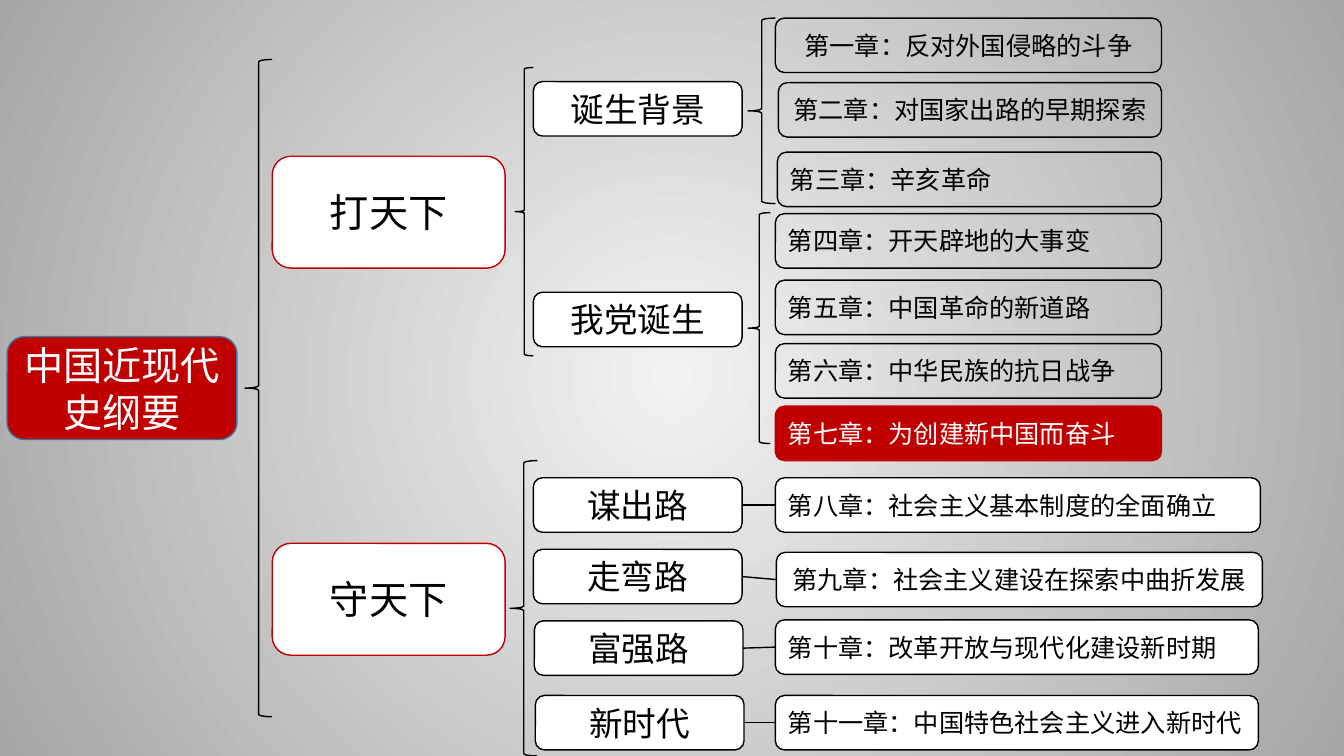
from lxml.etree import SubElement
from pptx import Presentation
from pptx.dml.color import RGBColor
from pptx.enum.shapes import MSO_CONNECTOR as Connector, MSO_SHAPE as Shape
from pptx.enum.text import MSO_ANCHOR as Anchor, PP_ALIGN as Align
from pptx.oxml.ns import qn
from pptx.util import Inches, Pt

FONT = "Noto Sans CJK SC"
COLORS = {"red": "C00000", "white": "FFFFFF", "black": "000000",
          "blue": "43739E", "center": "F2F2F2", "edge": "A6A6A6"}
ROW = 0.54
STAGE_WIDTH = 2.07


def color(name):
    """Return the named colour."""
    return RGBColor.from_string(COLORS[name])


def paint_background(page):
    """Fill the page with a circular gradient."""
    fill = page.background.fill
    fill.gradient()
    for stop, name in zip(fill.gradient_stops, ("center", "edge")):
        stop.color.rgb = color(name)
    gradient = page.background._cSld.find(".//" + qn("a:gradFill"))
    gradient.remove(gradient.find(qn("a:lin")))
    circle = SubElement(gradient, qn("a:path"), {"path": "circle"})
    SubElement(circle, qn("a:fillToRect"), {side: "50000" for side in "ltrb"})


def add_outline(page, kind, box, fill, line):
    """Add a preset shape with the given fill and a thin line."""
    shape = page.shapes.add_shape(kind, *map(Inches, box))
    shape.shadow.inherit = False
    if fill:
        shape.fill.solid()
        shape.fill.fore_color.rgb = color(fill)
    else:
        shape.fill.background()
    shape.line.color.rgb = color(line)
    shape.line.width = Pt(1)
    return shape


def add_node(page, box, text, size, fill="white", line="black", ink="black", align=Align.CENTER):
    """Add a rounded box holding one line of thought."""
    node = add_outline(page, Shape.ROUNDED_RECTANGLE, box, fill, line)
    frame = node.text_frame
    frame.word_wrap = True
    frame.vertical_anchor = Anchor.MIDDLE
    para = frame.paragraphs[0]
    para.alignment = align
    span = para.add_run()
    span.text = text
    span.font.size = Pt(size)
    span.font.name = FONT
    span.font.color.rgb = color(ink)
    SubElement(span.font._element, qn("a:ea"), {"typeface": FONT})
    return node


def add_brace(page, box):
    """Add a left brace."""
    add_outline(page, Shape.LEFT_BRACE, box, None, "black")


def join(page, chapter, stage):
    """Link a chapter's left side to a stage's right side."""
    link = page.shapes.add_connector(Connector.STRAIGHT, 0, 0, 0, 0)
    link.begin_connect(chapter, 1)
    link.end_connect(stage, 3)
    link.line.color.rgb = color("black")
    link.line.width = Pt(1)
    SubElement(link._element.spPr, qn("a:effectLst"))


def draw_root(page, left, top):
    """Draw the course box, its brace and the two eras."""
    add_node(page, (left, top, 2.28, 1.02), "中国近现代史纲要", 28, "red", "blue", "white")
    add_brace(page, (left + 2.36, top - 2.75, 0.27, 6.52))
    for text, offset in (("打天下", -1.79), ("守天下", 2.05)):
        add_node(page, (left + 2.63, top + offset, 2.31, 1.11), text, 28, line="red")


def draw_founding(page, left, top):
    """Draw the first era: two stages bracing seven chapters."""
    add_brace(page, (left, top + 0.49, 0.18, 2.86))
    for text, offset in (("诞生背景", 0.63), ("我党诞生", 2.72)):
        add_node(page, (left + 0.18, top + offset, STAGE_WIDTH, ROW), text, 24)
    add_brace(page, (left + 2.31, top, 0.27, 1.84))
    add_brace(page, (left + 2.31, top + 1.93, 0.22, 2.29))
    chapters = (
        ("第一章：反对外国侵略的斗争", 2.58, 0, Align.CENTER),
        ("第二章：对国家出路的早期探索", 2.61, 0.64, Align.CENTER),
        ("第三章：辛亥革命", 2.6, 1.33, Align.LEFT),
        ("第四章：开天辟地的大事变", 2.58, 1.94, Align.LEFT),
        ("第五章：中国革命的新道路", 2.58, 2.6, Align.LEFT),
        ("第六章：中华民族的抗日战争", 2.58, 3.23, Align.LEFT),
    )
    right = left + 6.41
    for text, indent, offset, align in chapters:
        box = (left + indent, top + offset, right - left - indent, ROW)
        add_node(page, box, text, 18, None, align=align)
    box = (left + 2.58, top + 3.85, 3.83, ROW)
    add_node(page, box, "第七章：为创建新中国而奋斗", 18, "red", "red", "white", Align.LEFT)


def draw_governing(page, left, top):
    """Draw the second era: four stages, each linked to a chapter."""
    add_brace(page, (left, top, 0.27, 2.93))
    rows = (
        ("谋出路", 0.23, 0.17, "第八章：社会主义基本制度的全面确立", 2.63, 0.17, 4.81, Align.LEFT),
        ("走弯路", 0.23, 0.88, "第九章：社会主义建设在探索中曲折发展", 2.64, 0.91, 4.82, Align.CENTER),
        ("富强路", 0.24, 1.59, "第十章：改革开放与现代化建设新时期", 2.63, 1.58, 4.79, Align.LEFT),
        ("新时代", 0.25, 2.33, "第十一章：中国特色社会主义进入新时代", 2.63, 2.33, 4.79, Align.LEFT),
    )
    for name, x, y, title, chapter_x, chapter_y, width, align in rows:
        stage = add_node(page, (left + x, top + y, STAGE_WIDTH, ROW), name, 24)
        box = (left + chapter_x, top + chapter_y, width, ROW)
        chapter = add_node(page, box, title, 18, align=align)
        join(page, chapter, stage)


def main():
    """Build the course outline and save it."""
    deck = Presentation()
    deck.slide_width, deck.slide_height = Inches(13.33), Inches(7.5)
    page = deck.slides.add_slide(deck.slide_layouts[6])
    paint_background(page)
    draw_root(page, 0.07, 3.34)
    draw_founding(page, 5.11, 0.18)
    draw_governing(page, 5.06, 4.57)
    deck.save("out.pptx")


if __name__ == "__main__":
    main()
